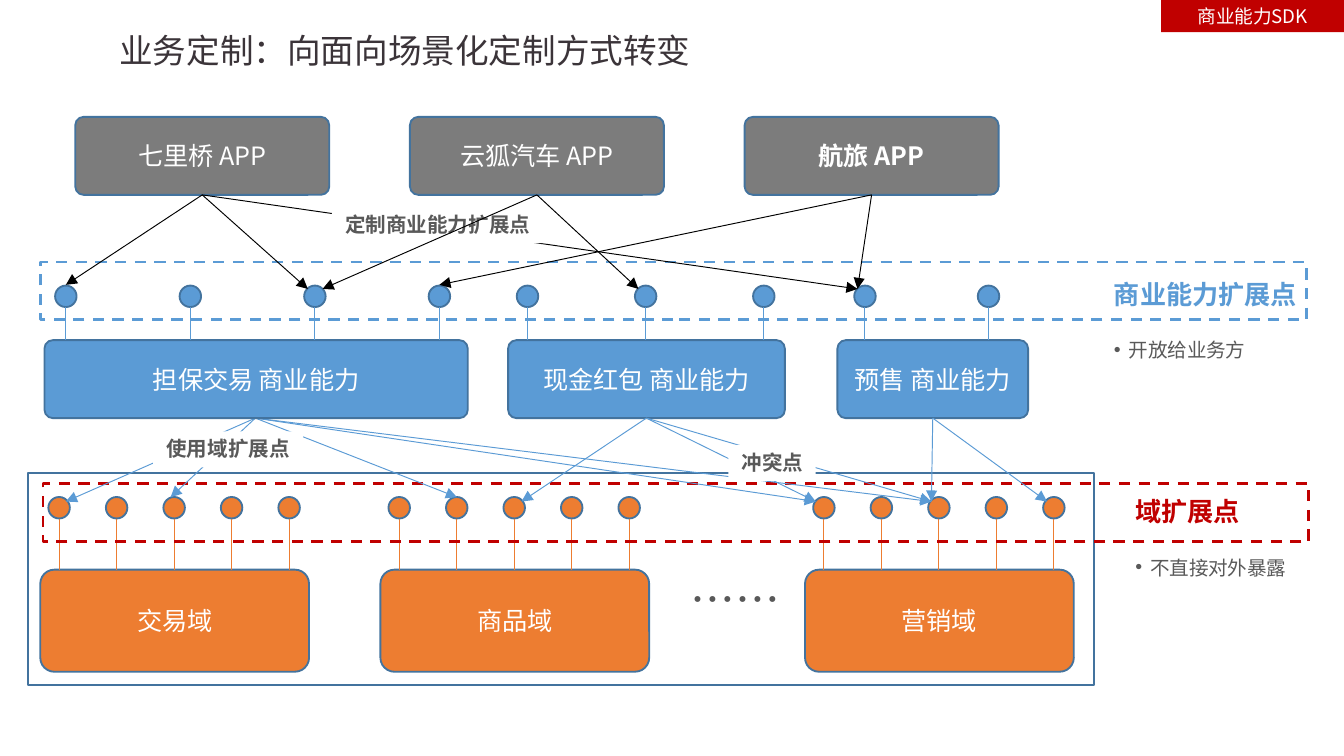
from lxml.etree import SubElement as Sub
from pptx import Presentation
from pptx.dml.color import RGBColor
from pptx.enum.dml import MSO_LINE as Dash
from pptx.enum.shapes import MSO_CONNECTOR as Conn, MSO_SHAPE as Kind
from pptx.enum.text import MSO_ANCHOR as Anchor, PP_ALIGN as Align
from pptx.oxml.ns import qn
from pptx.util import Pt

FONT = "Noto Sans CJK SC"
WHITE, GRAY, INK = "FFFFFF", "595959", "000000"
BLUE, ORANGE, RED, EDGE = "5B9BD5", "ED7D31", "C00000", "43739E"
DOT = 11.5

deck = Presentation()
deck.slide_width, deck.slide_height = Pt(720), Pt(405)
slide = deck.slides.add_slide(deck.slide_layouts[6])
shapes = slide.shapes


def color(text):
    return RGBColor.from_string(text)


def place(box):
    return [Pt(n) for n in box]


def add_run(para, text, size, tint, bold=False):
    run = para.add_run()
    run.text = text
    font = run.font
    font.size, font.bold, font.name = Pt(size), bold, FONT
    font.color.rgb = color(tint)
    Sub(font._element, qn("a:ea"), typeface=FONT)


def set_frame(shape, anchor, wrap):
    frame = shape.text_frame
    frame.word_wrap = wrap
    frame.vertical_anchor = anchor
    frame.margin_left = frame.margin_right = Pt(7.2)
    frame.margin_top = frame.margin_bottom = Pt(2.7)
    return frame.paragraphs[0]


def write(shape, text, size, tint, bold=False, align=Align.LEFT,
          anchor=Anchor.TOP, wrap=False):
    para = set_frame(shape, anchor, wrap)
    para.alignment = align
    add_run(para, text, size, tint, bold)
    return para


def add_form(kind, box, fill=None, edge=None, width=1, dash=None):
    form = shapes.add_shape(kind, *place(box))
    form.shadow.inherit = False
    if fill:
        form.fill.solid()
        form.fill.fore_color.rgb = color(fill)
    else:
        form.fill.background()
    if edge:
        form.line.color.rgb = color(edge)
        form.line.width = Pt(width)
        form.line.dash_style = dash
    else:
        form.line.fill.background()
    return form


def add_line(start, end, tint, arrow=False):
    line = shapes.add_connector(Conn.STRAIGHT, *place(start + end))
    line.line.color.rgb = color(tint)
    line.line.width = Pt(0.5)
    if arrow:
        Sub(line.line._get_or_add_ln(), qn("a:tailEnd"), type="triangle")
    Sub(line._element.spPr, qn("a:effectLst"))


def add_fan(start, ends, tint):
    for end in ends:
        add_line(start, end, tint, True)


def add_card(box, text, fill, curve, bold=False):
    card = add_form(Kind.ROUNDED_RECTANGLE, box, fill, EDGE)
    card.adjustments[0] = curve
    write(card, text, 13.5, WHITE, bold, Align.CENTER, Anchor.MIDDLE)


def add_block(box, text, fill, curve, count, first, gap, rise):
    add_card(box, text, fill, curve)
    left, top = box[:2]
    for i in range(count):
        x = left + first + i * gap
        y = top - rise
        add_form(Kind.OVAL, (x - DOT / 2, y, DOT, DOT), fill, EDGE)
        add_line((x, y + DOT), (x, top), fill)


def add_label(box, text):
    write(add_form(Kind.RECTANGLE, box, WHITE), text, 11, GRAY, True)


def add_band(box, tint):
    add_form(Kind.RECTANGLE, box, None, tint, 1.5, Dash.DASH)


def add_note(box, head, point, tint):
    note = shapes.add_textbox(*place(box))
    write(note, head, 14, tint, True, wrap=True)
    para = note.text_frame.add_paragraph()
    props = para._p.get_or_add_pPr()
    props.set("marL", str(Pt(7.9)))
    props.set("indent", str(Pt(-7.9)))
    Sub(props, qn("a:buFont"), typeface="Arial")
    Sub(props, qn("a:buChar"), char="•")
    para.line_spacing = 1.5
    para.space_before = Pt(9)
    add_run(para, point, 10.5, GRAY)


def add_title(box):
    title = shapes.add_textbox(*place(box))
    para = write(title, "业务定制：向面向场景化定制方式转变", 18, "3B3439",
                 anchor=Anchor.MIDDLE, wrap=True)
    para.line_spacing = 0.9


def add_tag(box):
    tag = add_form(Kind.RECTANGLE, box, RED)
    write(tag, "商业能力SDK", 10, WHITE, align=Align.CENTER)


def add_domains(box):
    left, top, width, height = box
    add_form(Kind.RECTANGLE, box, WHITE, EDGE)
    for x, text in ((6.5, "交易域"), (188.7, "商品域"), (416.2, "营销域")):
        add_block((left + x, top + 51.8, 144, 54.7), text, ORANGE, 0.138,
                  5, 10.1, 30.8, 38.9)
    dots = shapes.add_textbox(*place((left + 347.8, top + 50.4, 72, 72)))
    write(dots, "……", 24, GRAY)
    add_band((left + 7.9, top + 5.8, 678.2, 31), RED)
    add_note((left + 586.1, top + 9.4, 100, 108.7), "域扩展点",
             "不直接对外暴露", RED)


def add_skills(box):
    left, top, width, height = box
    base = top + height
    hit = base + 44.7
    add_fan((136.8, base),
            ((35.3, hit), (91.4, 266.4), (244.8, 266.4), (437, hit),
             (499, hit)), BLUE)
    add_label((82.1, 231.1, 80.4, 19.4), "使用域扩展点")
    for x, wide, text, count, first, gap in (
            (0, 226.8, "担保交易 商业能力", 4, 11.5, 66.7),
            (248.4, 148.3, "现金红包 商业能力", 3, 10.4, 63.3),
            (424.8, 102.2, "预售 商业能力", 2, 14.8, 66.2)):
        add_block((left + x, top, wide, height), text, BLUE, 0.108,
                  count, first, gap, 29.2)
    add_band((left - 2.2, top - 41.8, 678.2, 31), BLUE)
    add_fan((346.3, base), ((279.4, hit), (437, hit), (499, hit)), BLUE)
    add_label((390.2, 238.3, 46.8, 19.4), "冲突点")
    add_fan((499.7, base), ((499, hit), (560.9, hit)), BLUE)
    add_note((left + 565.9, top - 36, 116, 108.7), "商业能力扩展点",
             "开放给业务方", BLUE)


def add_apps(box):
    left, top, width, height = box
    wide, step = 136.1, 179.3
    base = top + height
    tops = [(left + wide / 2 + i * step, base) for i in range(3)]
    add_card((left, top, wide, height), "七里桥 APP", "7C7C7C", 0.108)
    add_fan(tops[0], ((35.3, 152.6), (164.9, 154.8), (459.4, 154.8)), INK)
    add_label((177.8, 110.9, 114.5, 19.4), "定制商业能力扩展点")
    for i, text in ((1, "云狐汽车 APP"), (2, "航旅 APP")):
        add_card((left + i * step, top, wide, height), text, "7C7C7C",
                 0.108, i == 2)
    add_fan(tops[1], ((172.8, 154.8), (342, 154.8)), INK)
    add_fan(tops[2], ((459.4, 154.8), (235.4, 152.6)), INK)


add_title((56.9, 12.2, 578.9, 32.4))
add_domains((15.1, 253.4, 571, 113.8))
add_skills((23.8, 182.2, 527, 41.8))
add_apps((40.3, 62.6, 494.7, 41.8))
add_tag((622.1, 0, 97.9, 17.3))
deck.save("out.pptx")
